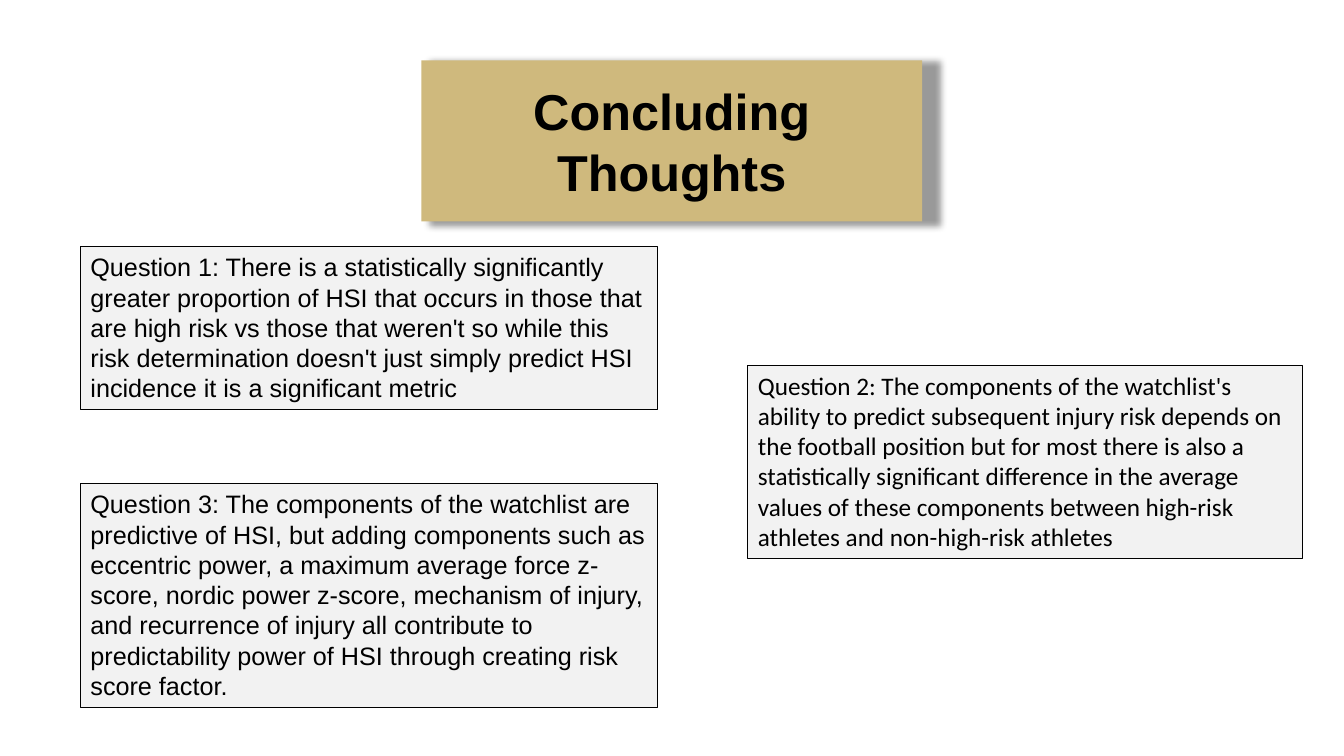
from lxml.etree import SubElement
from pptx import Presentation
from pptx.dml.color import RGBColor
from pptx.enum.shapes import MSO_SHAPE
from pptx.enum.text import MSO_ANCHOR, MSO_AUTO_SIZE, PP_ALIGN
from pptx.oxml.ns import qn
from pptx.util import Cm, Pt

COLORS = {"gold": "CFB97D", "panel": "F2F2F2", "ink": "000000"}

LEFT, WIDE = 2.03, 14.55
ANSWERS = [
    ((LEFT, 6.22, WIDE, 4.11), "Arial",
     "Question 1: There is a statistically significantly greater proportion of HSI "
     "that occurs in those that are high risk vs those that weren't so while this "
     "risk determination doesn't just simply predict HSI incidence it is a "
     "significant metric "),
    ((18.85, 9.2, 13.97, 4.88), "Calibri",
     "Question 2: The components of the watchlist's ability to predict subsequent "
     "injury risk depends on the football position but for most there is also a "
     "statistically significant difference in the average values of these "
     "components between high-risk athletes and non-high-risk athletes"),
    ((LEFT, 12.19, WIDE, 5.64), "Arial",
     "Question 3: The components of the watchlist are predictive of HSI, but adding "
     "components such as eccentric power, a maximum average force z-score, nordic "
     "power z-score, mechanism of injury, and recurrence of injury all contribute "
     "to predictability power of HSI through creating risk score factor."),
]


class Deck:
    def __init__(self, prs):
        self.slide = prs.slides.add_slide(prs.slide_layouts[5])

    def color(self, name):
        return RGBColor.from_string(COLORS[name])

    def fill(self, shape, name):
        shape.fill.solid()
        shape.fill.fore_color.rgb = self.color(name)

    def label(self, shape, text, font, size, align, bold=False):
        frame = shape.text_frame
        frame.text = text
        frame.word_wrap = True
        frame.vertical_anchor = MSO_ANCHOR.MIDDLE
        para = frame.paragraphs[0]
        para.alignment = align
        para.font.name = font
        para.font.size = Pt(size)
        para.font.bold = bold
        para.font.color.rgb = self.color("ink")
        return frame

    def glow(self, shape):
        """Add a soft, centred shadow slightly larger than the shape."""
        effects = SubElement(shape.element.spPr, qn("a:effectLst"))
        shadow = SubElement(effects, qn("a:outerShdw"), blurRad=str(Pt(5)),
                            sx="102000", sy="102000", algn="ctr", rotWithShape="0")
        tint = SubElement(shadow, qn("a:srgbClr"), val=COLORS["ink"])
        SubElement(tint, qn("a:alpha"), val="40000")

    def title(self, text, left, top, width, height):
        shape = self.slide.shapes.title
        shape.left, shape.top = Cm(left), Cm(top)
        shape.width, shape.height = Cm(width), Cm(height)
        self.fill(shape, "gold")
        self.glow(shape)
        frame = self.label(shape, text, "Arial", 36, PP_ALIGN.CENTER, bold=True)
        frame.auto_size = MSO_AUTO_SIZE.NONE
        frame.margin_left = frame.margin_right = 0
        frame.margin_top = frame.margin_bottom = 0

    def panel(self, box, font, text):
        shape = self.slide.shapes.add_shape(MSO_SHAPE.RECTANGLE, *map(Cm, box))
        shape.shadow.inherit = False
        self.fill(shape, "panel")
        shape.line.color.rgb = self.color("ink")
        shape.line.width = Pt(0.75)
        frame = self.label(shape, text, font, 18, PP_ALIGN.LEFT)
        frame.vertical_anchor = MSO_ANCHOR.TOP
        frame.auto_size = MSO_AUTO_SIZE.SHAPE_TO_FIT_TEXT


def main():
    prs = Presentation()
    prs.slide_width, prs.slide_height = Cm(33.87), Cm(19.05)
    deck = Deck(prs)
    deck.title("Concluding Thoughts", 10.62, 1.52, 12.62, 4.06)
    for box, font, text in ANSWERS:
        deck.panel(box, font, text)
    prs.save("out.pptx")


if __name__ == "__main__":
    main()
